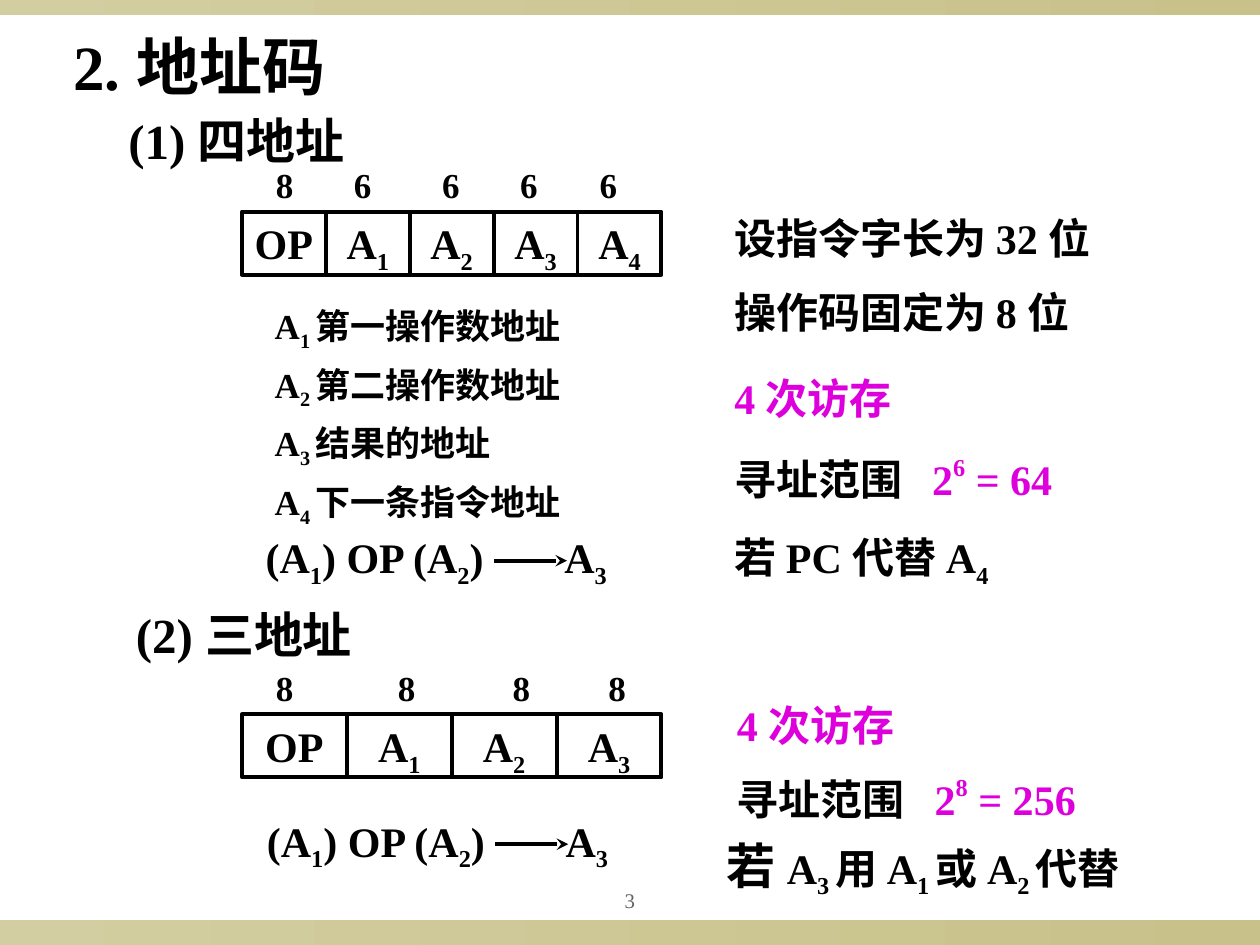
from dataclasses import dataclass
from typing import NamedTuple

import lxml.etree
import pptx
import pptx.dml.color
import pptx.enum.dml
import pptx.enum.shapes
import pptx.enum.text
import pptx.oxml.ns
import pptx.util

Inches = pptx.util.Inches
Pt = pptx.util.Pt
RGB = pptx.dml.color.RGBColor.from_string
ALIGN = pptx.enum.text.PP_ALIGN
SHAPE = pptx.enum.shapes.MSO_SHAPE


@dataclass(frozen=True)
class Theme:
    font: str = "Times New Roman"
    ink: str = "000000"
    accent: str = "DD00DD"
    muted: str = "636363"
    bar_left: str = "D3CEA1"
    bar_right: str = "C8C18A"
    title: float = 36
    heading: float = 28
    text: float = 24
    small: float = 20
    number: float = 11.9
    line: float = 2.25


T = Theme()


class Run(NamedTuple):
    text: str
    base: int = 0
    color: str = T.ink
    size: float = 0  # 0 takes the size of the paragraph


@dataclass(frozen=True)
class Box:
    left: float
    top: float
    width: float
    height: float
    runs: list[Run]
    size: float = T.text
    tabs: tuple[float, ...] = ()
    spacing: float = 1.0


@dataclass(frozen=True)
class Instruction:
    top: float
    fields: list[list[Run]]
    bits: str
    bit_tabs: tuple[float, ...]
    formula_left: float
    formula_top: float


def with_subs(*parts: str) -> list[Run]:
    """Every second part is a subscript."""
    return [Run(t, -25 if i % 2 else 0) for i, t in enumerate(parts)]


def sub(parent, tag: str, **attrs: str):
    return lxml.etree.SubElement(parent, pptx.oxml.ns.qn(tag), **attrs)


def set_all(obj, values: dict) -> None:
    for name, value in values.items():
        setattr(obj, name, value)


def write(p, runs: list[Run], size: float, tabs: tuple[float, ...] = ()) -> None:
    if tabs:
        tab_list = sub(p._p.get_or_add_pPr(), "a:tabLst")
        for pos in tabs:
            sub(tab_list, "a:tab", pos=str(Inches(pos)), algn="l")
    for run in runs:
        r = p.add_run()
        r.text = run.text
        set_all(r.font, {"name": T.font, "size": Pt(run.size or size), "bold": True})
        r.font.color.rgb = RGB(run.color)
        if run.base:
            r._r.get_or_add_rPr().set("baseline", str(run.base * 1000))


def place(sp, left: float, top: float, width: float, height: float) -> None:
    set_all(sp, {"left": Inches(left), "top": Inches(top),
                 "width": Inches(width), "height": Inches(height)})
    set_all(sp.text_frame, {"word_wrap": True,
                            "auto_size": pptx.enum.text.MSO_AUTO_SIZE.NONE,
                            "vertical_anchor": pptx.enum.text.MSO_ANCHOR.TOP})


def add_box(slide, box: Box) -> None:
    size = [Inches(v) for v in (box.left, box.top, box.width, box.height)]
    sp = slide.shapes.add_textbox(*size)
    place(sp, box.left, box.top, box.width, box.height)
    p = sp.text_frame.paragraphs[0]
    write(p, box.runs, box.size, box.tabs)
    if box.spacing != 1:
        p.line_spacing = box.spacing


def add_bar(slide, top: float, height: float) -> None:
    sp = slide.shapes.add_shape(SHAPE.RECTANGLE, 0, Inches(top), Inches(10), Inches(height))
    sp.shadow.inherit = False
    sp.line.fill.background()
    sp.fill.gradient()
    sp.fill.gradient_angle = 0
    for stop, color in zip(sp.fill.gradient_stops, (T.bar_left, T.bar_right)):
        stop.color.rgb = RGB(color)


def add_arrow(slide, left: float, y: float, length: float) -> None:
    sp = slide.shapes.add_connector(pptx.enum.shapes.MSO_CONNECTOR.STRAIGHT,
                                    Inches(left), Inches(y), Inches(left + length), Inches(y))
    sp.line.color.rgb = RGB(T.ink)
    sp.line.width = Pt(T.line)
    sub(sp.line._get_or_add_ln(), "a:tailEnd", type="stealth")
    sub(sp._element.spPr, "a:effectLst")


def add_instruction(slide, ins: Instruction) -> None:
    # Field widths in bits above the instruction word
    add_box(slide, Box(2.09, ins.top - 0.43, 3.19, 0.44, [Run(ins.bits)], T.small, ins.bit_tabs))
    # Equal fields across the word
    left, total = 1.92, 3.33
    width = total / len(ins.fields)
    for i, runs in enumerate(ins.fields):
        sp = slide.shapes.add_shape(SHAPE.RECTANGLE, Inches(left + i * width), Inches(ins.top),
                                    Inches(width), Inches(0.5))
        sp.shadow.inherit = False
        sp.fill.background()
        sp.line.color.rgb = RGB(T.ink)
        sp.line.width = Pt(T.line)
        set_all(sp.text_frame, {"vertical_anchor": pptx.enum.text.MSO_ANCHOR.TOP,
                                "margin_left": 0, "margin_right": 0, "word_wrap": True})
        p = sp.text_frame.paragraphs[0]
        p.alignment = ALIGN.CENTER
        write(p, runs, T.text)
    # Operation, with the arrow in the tabbed gap
    runs = with_subs("(A", "1", ") OP (A", "2", ")\tA", "3")
    add_box(slide, Box(ins.formula_left, ins.formula_top, 2.95, 0.56, runs, tabs=(2.37,)))
    add_arrow(slide, ins.formula_left + 1.91, ins.formula_top + 0.28, 0.58)


def add_slide_number(slide) -> None:
    sp = slide.shapes.add_textbox(Inches(4.5), Inches(7), Inches(1), Inches(0.31))
    sp.text_frame.vertical_anchor = pptx.enum.text.MSO_ANCHOR.MIDDLE
    p = sp.text_frame.paragraphs[0]
    set_all(p, {"alignment": ALIGN.CENTER, "line_spacing": 0.9})
    fld = sub(p._p, "a:fld", id="{B6F15528-21DE-4FAA-801E-634DDDAF4B2B}", type="slidenum")
    r_pr = sub(fld, "a:rPr", lang="en-US", sz=str(round(T.number * 100)))
    sub(sub(r_pr, "a:solidFill"), "a:srgbClr", val=T.muted)
    sub(r_pr, "a:latin", typeface=T.font)
    sub(fld, "a:t").text = "3"


def address_range(left: float, top: float, power: str, value: str) -> Box:
    runs = [Run("寻址范围\t"), Run("2", color=T.accent),
            Run(power, 45, T.accent), Run(f" = {value}", color=T.accent)]
    return Box(left, top, 3.48, 0.51, runs, tabs=(1.57,))


def main() -> None:
    prs = pptx.Presentation()
    set_all(prs, {"slide_width": Inches(10), "slide_height": Inches(7.5)})
    prs.element.set("firstSlideNum", "3")
    slide = prs.slides.add_slide(prs.slide_layouts[1])
    add_bar(slide, 7.3, 0.2)
    add_bar(slide, 0, 0.12)
    add_slide_number(slide)

    # Title
    title, body = slide.placeholders
    place(title, 0.48, 0.17, 3.02, 0.7)
    p = title.text_frame.paragraphs[0]
    p.alignment = ALIGN.LEFT
    write(p, [Run("2. 地址码")], T.title)

    # Meaning of each address
    place(body, 2.08, 2.28, 3.17, 1.98)
    meanings = ("第一操作数地址", "第二操作数地址", "结果的地址", "下一条指令地址")
    for i, meaning in enumerate(meanings, 1):
        p = body.text_frame.paragraphs[0] if i == 1 else body.text_frame.add_paragraph()
        set_all(p, {"line_spacing": Pt(33.5), "space_before": Pt(0)})
        p_pr = p._p.get_or_add_pPr()
        p_pr.set("marL", "0")
        p_pr.set("indent", "0")
        sub(p_pr, "a:buNone")
        write(p, with_subs("A", f"{i} ", meaning), T.small)

    # The two instruction formats
    op = [Run("OP")]
    fields = [with_subs("A", str(n)) for n in range(1, 5)]
    add_instruction(slide, Instruction(1.68, [op, *fields], "8\t6\t6\t6\t6",
                                       (0.62, 1.32, 1.94, 2.57), 2.01, 4.17))
    add_instruction(slide, Instruction(5.67, [op, *fields[:3]], "8\t8\t8\t8",
                                       (0.97, 1.88, 2.64), 2.02, 6.42))

    # Headings and remarks
    accesses = [Run("4 次访存", color=T.accent)]
    replacement = [Run("若 ", size=T.heading),
                   *with_subs("A", "3 ", "用 A", "1 ", "或 A", "2 ", "代替")]
    for box in (
        Box(0.92, 0.83, 5.25, 0.57, [Run("(1) 四地址")], T.heading),
        Box(0.98, 4.75, 5.52, 0.57, [Run("(2) 三地址")], T.heading),
        Box(5.73, 1.68, 3.69, 0.46, [Run("设指令字长为 32 位")], spacing=0.9),
        Box(5.73, 2.27, 3.69, 0.46, [Run("操作码固定为 8 位")], spacing=0.9),
        Box(5.73, 2.91, 2.6, 0.5, accesses),
        address_range(5.73, 3.54, "6", "64"),
        Box(5.73, 4.17, 3.02, 0.56, with_subs("若 PC 代替 A", "4")),
        Box(5.75, 5.5, 2.44, 0.5, accesses),
        address_range(5.75, 6.08, "8", "256"),
        Box(5.67, 6.58, 3.83, 0.61, replacement),
    ):
        add_box(slide, box)
    prs.save("out.pptx")


if __name__ == "__main__":
    main()
